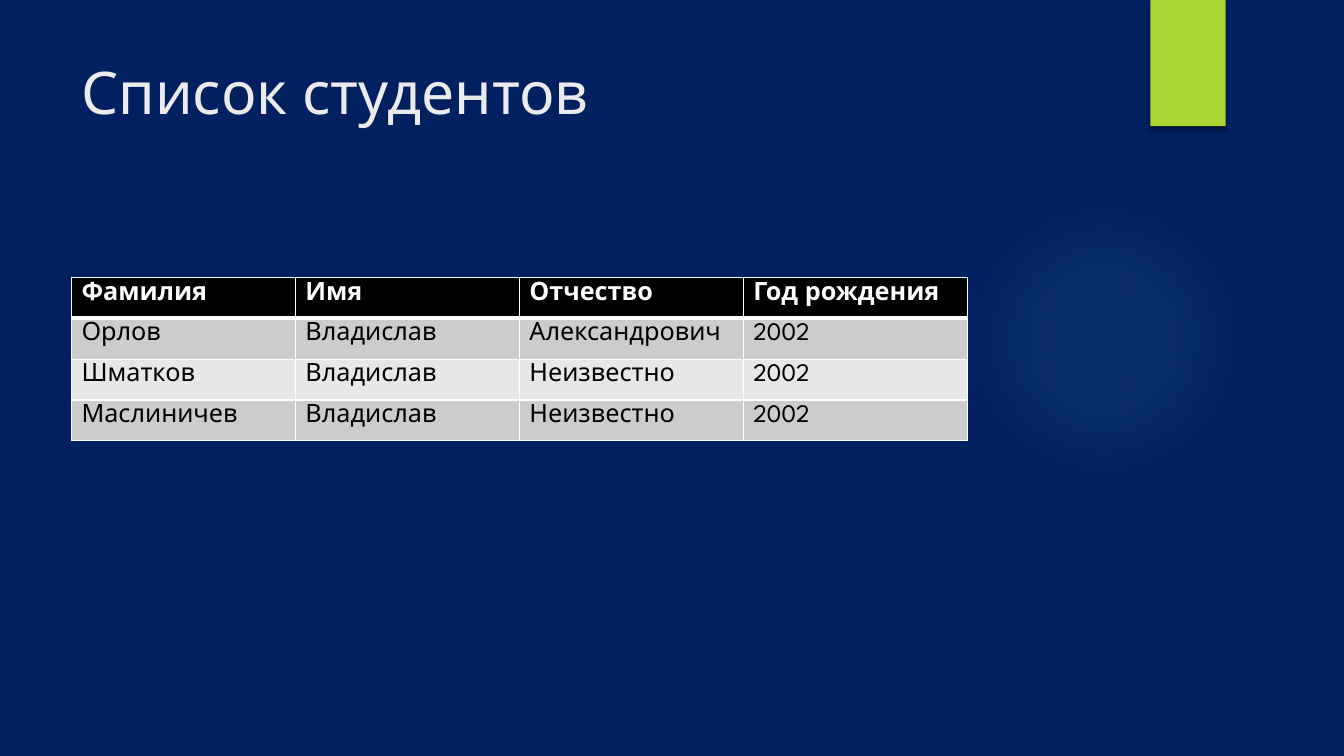
import lxml.etree
import pptx
import pptx.dml.color
import pptx.enum.shapes
import pptx.enum.text
import pptx.oxml
import pptx.oxml.ns
import pptx.util

Cm = pptx.util.Cm
Pt = pptx.util.Pt
SHAPE = pptx.enum.shapes.MSO_SHAPE
FONT = "League Spartan"
NS = pptx.oxml.ns.nsdecls("a")
COLORS = {
    "background": "002060",
    "glow": "7AC4F0",
    "tab": "ACD433",
    "title": "EBEBEB",
    "header": "000000",
    "header_text": "FFFFFF",
    "odd_row": "CCCCCC",
    "even_row": "E7E7E7",
    "body_text": "000000",
    "border": "FFFFFF",
    "shadow": "000000",
}
STUDENTS = [
    ("Фамилия", "Имя", "Отчество", "Год рождения"),
    ("Орлов", "Владислав", "Александрович", "2002"),
    ("Шматков", "Владислав", "Неизвестно", "2002"),
    ("Маслиничев", "Владислав", "Неизвестно", "2002"),
]


def rgb(name):
    return pptx.dml.color.RGBColor.from_string(COLORS[name])


def add_run(p, text, size, color, bold=False):
    r = p.add_run()
    r.text = text
    r.font.name = FONT
    r.font.size = Pt(size)
    r.font.bold = bold
    r.font.color.rgb = rgb(color)


def add_plain_shape(slide, kind, box):
    sp = slide.shapes.add_shape(kind, *map(Cm, box))
    sp.shadow.inherit = False
    sp.line.fill.background()
    return sp


def add_glow(slide, box):
    sp = add_plain_shape(slide, SHAPE.OVAL, box)
    sp.fill.background()
    stops = "".join(
        f'<a:gs pos="{pos * 1000}"><a:srgbClr val="{COLORS["glow"]}">'
        f'<a:alpha val="{alpha * 1000}"/></a:srgbClr></a:gs>'
        for pos, alpha in ((0, 7), (36, 6), (69, 0), (100, 0))
    )
    grad = pptx.oxml.parse_xml(
        f'<a:gradFill {NS} rotWithShape="1"><a:gsLst>{stops}</a:gsLst><a:path path="circle">'
        '<a:fillToRect l="50000" t="50000" r="50000" b="50000"/></a:path></a:gradFill>'
    )
    spPr = sp.element.spPr
    spPr.replace(spPr.find(pptx.oxml.ns.qn("a:noFill")), grad)


def add_tab(slide, box):
    sp = add_plain_shape(slide, SHAPE.RECTANGLE, box)
    sp.fill.solid()
    sp.fill.fore_color.rgb = rgb("tab")
    effects = sp.element.spPr.find(pptx.oxml.ns.qn("a:effectLst"))
    effects.append(pptx.oxml.parse_xml(
        f'<a:outerShdw {NS} blurRad="{Pt(3)}" dist="{Pt(2)}" dir="5400000" rotWithShape="0">'
        f'<a:srgbClr val="{COLORS["shadow"]}"><a:alpha val="45000"/></a:srgbClr></a:outerShdw>'
    ))


def add_title(slide, box, text):
    tf = slide.shapes.add_textbox(*map(Cm, box)).text_frame
    tf.word_wrap = True
    tf.vertical_anchor = pptx.enum.text.MSO_ANCHOR.TOP
    add_run(tf.paragraphs[0], text, 42, "title")


def set_borders(cell, top, bottom):
    tcPr = cell._tc.get_or_add_tcPr()
    for side, width in (("L", 1), ("R", 1), ("T", top), ("B", bottom)):
        tcPr.append(pptx.oxml.parse_xml(
            f'<a:ln{side} {NS} w="{Pt(width)}"><a:solidFill>'
            f'<a:srgbClr val="{COLORS["border"]}"/></a:solidFill></a:ln{side}>'
        ))


def add_student_table(slide, box, rows):
    shape = slide.shapes.add_table(len(rows), len(rows[0]), *map(Cm, box))
    for i, row in enumerate(rows):
        is_header = i == 0
        fill = "header" if is_header else "odd_row" if i % 2 else "even_row"
        color = "header_text" if is_header else "body_text"
        for j, text in enumerate(row):
            cell = shape.table.cell(i, j)
            set_borders(cell, 3 if i == 1 else 1, 3 if is_header else 1)
            cell.fill.solid()
            cell.fill.fore_color.rgb = rgb(fill)
            add_run(cell.text_frame.paragraphs[0], text, 18, color, is_header)


def add_student_slide(prs):
    slide = prs.slides.add_slide(prs.slide_layouts[6])
    slide.background.fill.solid()
    slide.background.fill.fore_color.rgb = rgb("background")
    add_glow(slide, (23.9, 4.65, 7.82, 7.82))
    add_tab(slide, (28.99, 0, 1.9, 3.18))
    add_title(slide, (1.8, 1.27, 26.14, 3.89), "Список студентов")
    add_student_table(slide, (1.8, 6.99, 22.58, 4.12), STUDENTS)


prs = pptx.Presentation()
prs.slide_width = Cm(33.87)
prs.slide_height = Cm(19.05)
add_student_slide(prs)
prs.save("out.pptx")
